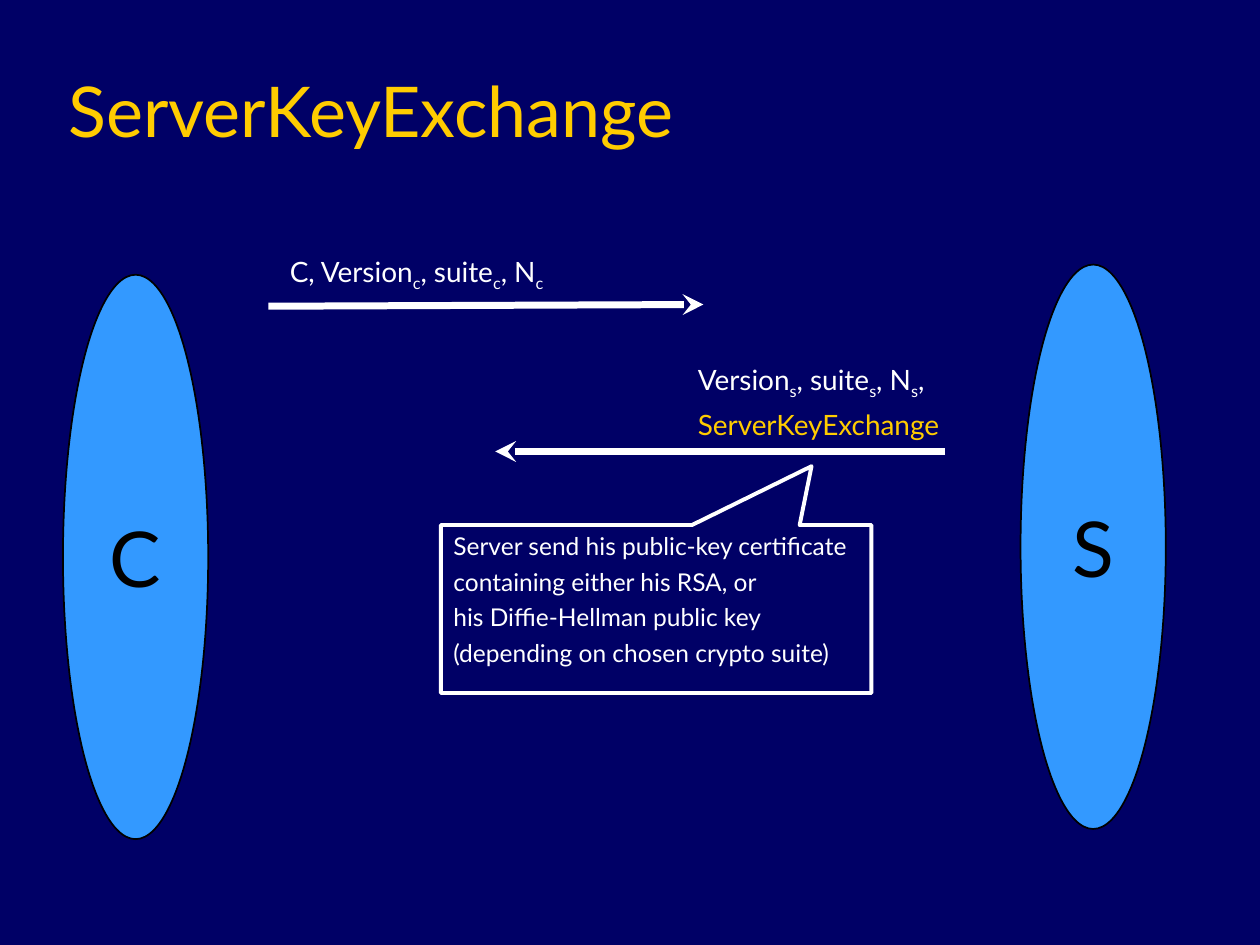
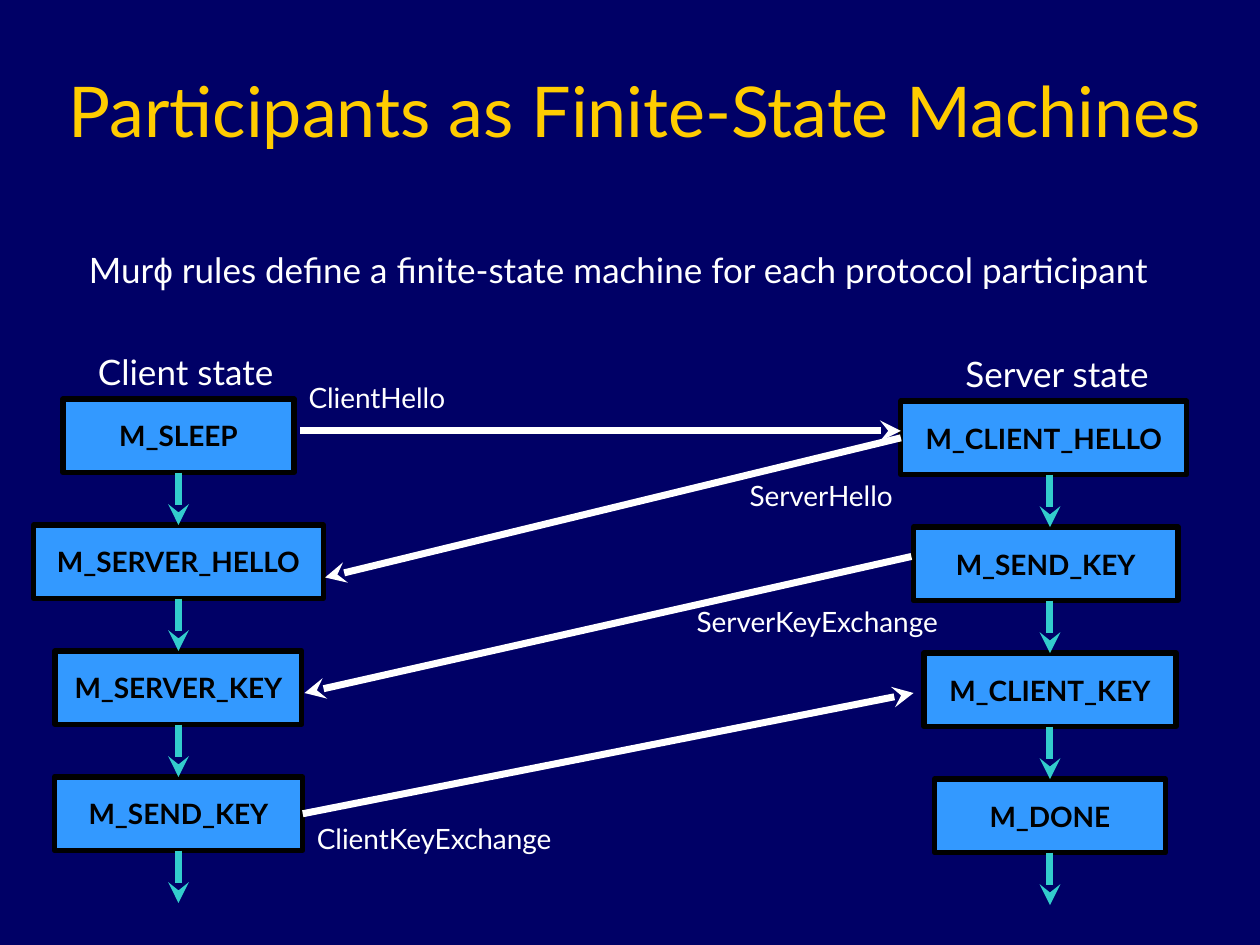
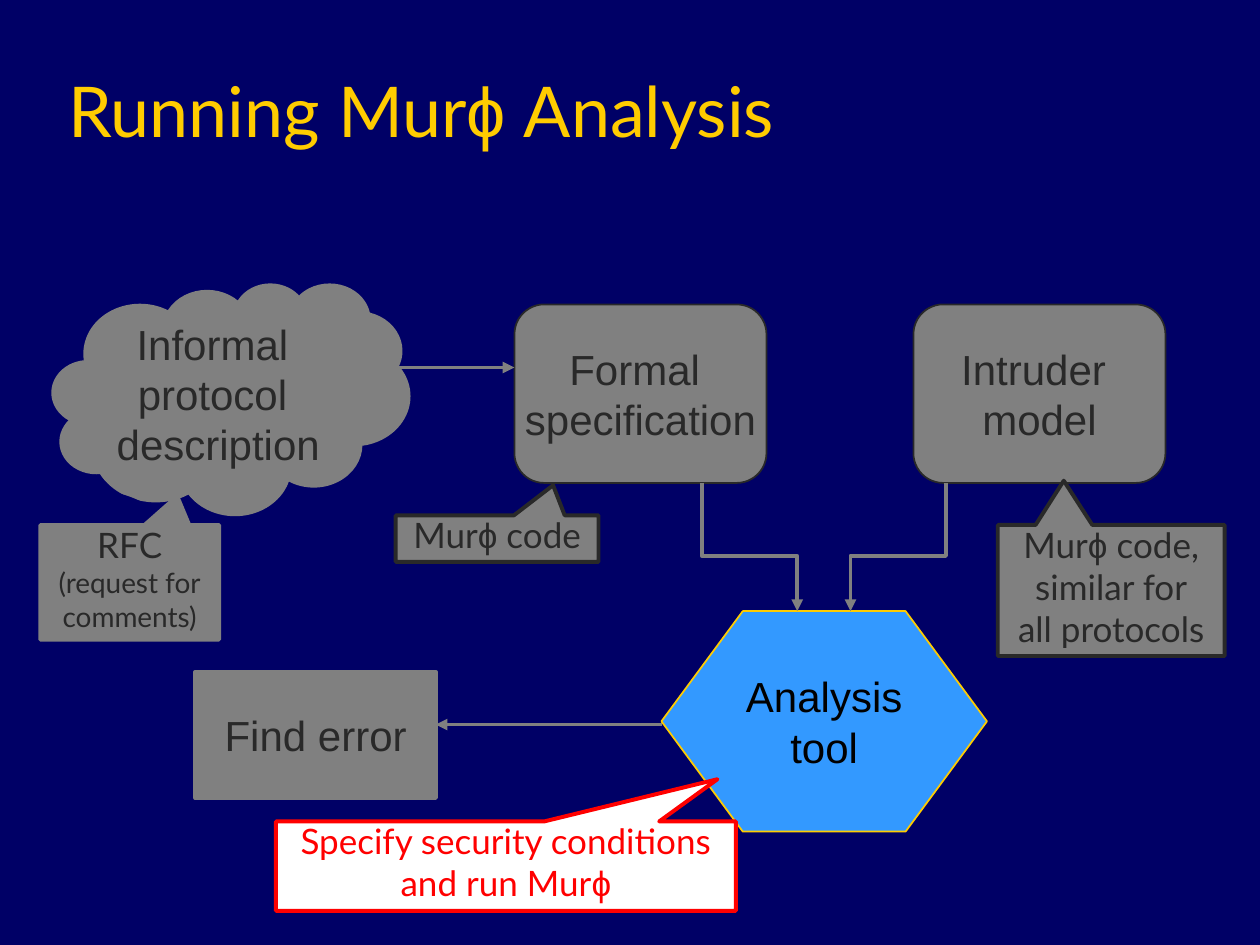
from dataclasses import dataclass, replace
from typing import Any, NamedTuple, Optional, Sequence

from lxml.etree import SubElement
from pptx import Presentation
from pptx.dml.color import RGBColor as Color
from pptx.enum.shapes import MSO_CONNECTOR as Link, MSO_SHAPE as Kind
from pptx.enum.text import MSO_ANCHOR as Anchor, MSO_AUTO_SIZE as Fit, PP_ALIGN as Align
from pptx.oxml.ns import qn
from pptx.util import Pt


@dataclass(frozen=True)
class Theme:
    navy: Color = Color(0x00, 0x00, 0x66)
    gold: Color = Color(0xFF, 0xCC, 0x00)
    blue: Color = Color(0x33, 0x99, 0xFF)
    teal: Color = Color(0x33, 0xCC, 0xCC)
    gray: Color = Color(0x80, 0x80, 0x80)
    dark: Color = Color(0x29, 0x29, 0x29)
    white: Color = Color(0xFF, 0xFF, 0xFF)
    black: Color = Color(0x00, 0x00, 0x00)
    red: Color = Color(0xFF, 0x00, 0x00)
    font: str = "Lato"
    plain_font: str = "Arial"
    title: float = 40
    role: float = 44
    node: float = 24
    body: float = 20
    label: float = 16
    note: float = 14


THEME = Theme()


@dataclass(frozen=True)
class Look:
    size: float
    color: Color
    font: str = THEME.font
    bold: bool = False
    before: float = 0
    leading: Optional[float] = None
    align: Align = Align.CENTER


TITLE = Look(THEME.title, THEME.gold, align=Align.LEFT)
ROLE = Look(THEME.role, THEME.black, before=11)
LABEL = Look(THEME.label, THEME.white, before=4, align=Align.LEFT)
NOTE = Look(THEME.note, THEME.white, before=3.5, align=Align.LEFT)
BODY = Look(THEME.body, THEME.white, before=5)
STATE = Look(THEME.label, THEME.black, bold=True, before=4)
NODE = Look(THEME.node, THEME.dark, font=THEME.plain_font)
CALLOUT = Look(THEME.body, THEME.dark, before=5, leading=0.8)


class Frame(NamedTuple):
    left: float
    top: float
    width: float
    height: float


class Point(NamedTuple):
    x: float
    y: float


class Para(NamedTuple):
    text: str
    look: Look


class Outline(NamedTuple):
    color: Color
    width: float


class Joint(NamedTuple):
    box: Any
    site: int


class State(NamedTuple):
    name: str
    center: float
    width: float


class Message(NamedTuple):
    text: str
    start: Point
    end: Point
    label: Frame
    sender: Optional[Joint] = None


class Bubble(NamedTuple):
    frame: Frame
    tip: tuple[float, float]
    paras: list[Para]
    fill: Color
    edge: Color


WHITE_ARROW = Outline(THEME.white, 4)
TEAL_ARROW = Outline(THEME.teal, 4)
GRAY_ARROW = Outline(THEME.gray, 2.25)


def assign(target: Any, values: dict[str, Any]) -> None:
    for name, value in values.items():
        setattr(target, name, value)


def paras(look: Look, *texts: str) -> list[Para]:
    return [Para(text, look) for text in texts]


def add_span(para: Any, text: str, look: Look, font: str, lowered: bool) -> None:
    span = para.add_run()
    span.text = text
    assign(span.font, {"size": Pt(look.size), "name": font, "bold": look.bold})
    span.font.color.rgb = look.color
    if lowered:
        span._r.get_or_add_rPr().set("baseline", "-25000")


def write(box: Any, content: Sequence[Para], **format_values: Any) -> None:
    text_frame = box.text_frame
    assign(text_frame, {"word_wrap": False, "auto_size": Fit.NONE, **format_values})
    for index, (text, look) in enumerate(content):
        para = text_frame.add_paragraph() if index else text_frame.paragraphs[0]
        assign(para, {"alignment": look.align, "space_before": Pt(look.before),
                      "line_spacing": look.leading})
        for part_index, part in enumerate(text.split("~")):
            for piece_index, piece in enumerate(part.split("ϕ")):
                if piece_index:
                    add_span(para, "ϕ", look, THEME.plain_font, False)
                if piece:
                    add_span(para, piece, look, look.font, part_index % 2 == 1)


def add_page(deck: Any, title: str, width: float = 612) -> Any:
    page = deck.slides.add_slide(deck.slide_layouts[5])
    heading = page.shapes.title
    assign(heading, {"left": Pt(32), "top": Pt(18), "width": Pt(width), "height": Pt(72)})
    write(heading, paras(TITLE, title), word_wrap=True, vertical_anchor=Anchor.BOTTOM)
    return page


def add_label(page: Any, frame: Frame, content: Sequence[Para], wrap: bool = False) -> None:
    box = page.shapes.add_textbox(*map(Pt, frame))
    write(box, content, word_wrap=wrap, auto_size=Fit.SHAPE_TO_FIT_TEXT)


def paint(box: Any, fill: Optional[Color], outline: Optional[Outline]) -> None:
    box.shadow.inherit = False
    if fill is None:
        box.fill.background()
    else:
        box.fill.solid()
        box.fill.fore_color.rgb = fill
    if outline is None:
        box.line.fill.background()
    else:
        box.line.color.rgb = outline.color
        box.line.width = Pt(outline.width)


def add_box(page: Any, kind: Kind, frame: Frame, fill: Optional[Color],
            outline: Optional[Outline], content: Sequence[Para] = (),
            adjust: Sequence[float] = (), **format_values: Any) -> Any:
    box = page.shapes.add_shape(kind, *map(Pt, frame))
    for index, value in enumerate(adjust):
        box.adjustments[index] = value
    paint(box, fill, outline)
    write(box, content, **{"vertical_anchor": Anchor.MIDDLE, **format_values})
    return box


def add_head(line_shape: Any, head: str) -> None:
    SubElement(line_shape._element.spPr.get_or_add_ln(), qn("a:tailEnd"), type=head)


def add_arrow(page: Any, start: Point, end: Point, outline: Outline, head: str = "stealth",
              begin: Optional[Joint] = None, finish: Optional[Joint] = None) -> None:
    arrow = page.shapes.add_connector(Link.STRAIGHT, *map(Pt, (*start, *end)))
    if begin:
        arrow.begin_connect(*begin)
    if finish:
        arrow.end_connect(*finish)
    arrow.line.color.rgb = outline.color
    arrow.line.width = Pt(outline.width)
    add_head(arrow, head)
    SubElement(arrow._element.spPr, qn("a:effectLst"))


def add_elbow(page: Any, points: Sequence[Point]) -> None:
    first, *rest = [tuple(map(Pt, point)) for point in points]
    builder = page.shapes.build_freeform(*first)
    builder.add_line_segments(rest, close=False)
    elbow = builder.convert_to_shape()
    paint(elbow, None, GRAY_ARROW)
    add_head(elbow, "triangle")


def add_states(page: Any, states: Sequence[State], lane: float, top: float) -> list[Any]:
    height, pitch = 42, 72
    boxes = [
        add_box(page, Kind.RECTANGLE,
                Frame(state.center - state.width / 2, top + pitch * row, state.width, height),
                THEME.blue, Outline(THEME.black, 3), paras(STATE, state.name))
        for row, state in enumerate(states)
    ]
    centered = [state.center == lane for state in states]
    for row, box in enumerate(boxes):
        begin = Joint(box, 2) if centered[row] else None
        has_next = row + 1 < len(boxes) and centered[row + 1]
        finish = Joint(boxes[row + 1], 0) if has_next else None
        row_top = top + pitch * row
        add_arrow(page, Point(lane, row_top + height), Point(lane, row_top + pitch),
                  TEAL_ARROW, begin=begin, finish=finish)
    return boxes


def build_key_exchange(deck: Any) -> None:
    page = add_page(deck, "ServerKeyExchange")
    for role, left, top in (("C", 36, 157), ("S", 583.2, 151.2)):
        add_box(page, Kind.OVAL, Frame(left, top, 83, 322.5), THEME.blue,
                Outline(THEME.black, 1), paras(ROLE, role))
    add_arrow(page, Point(153.3, 175), Point(402, 174), WHITE_ARROW)
    add_arrow(page, Point(540, 258), Point(283, 258), WHITE_ARROW)
    add_label(page, Frame(391.7, 203.8, 162, 52.6), [
        Para("Version~s~, suite~s~, N~s~,", LABEL),
        Para("ServerKeyExchange", replace(LABEL, color=THEME.gold)),
    ])
    add_box(page, Kind.RECTANGULAR_CALLOUT, Frame(252, 300, 246, 96), None,
            Outline(THEME.white, 2.25),
            paras(NOTE, "Server send his public-key certificate",
                  "containing either his RSA, or",
                  "his Diffie-Hellman public key",
                  "(depending on chosen crypto suite)"),
            (0.361, -0.85), word_wrap=True, vertical_anchor=Anchor.TOP)
    add_label(page, Frame(154, 141.8, 168, 29.5),
              paras(replace(LABEL, align=Align.CENTER), "C, Version~c~, suite~c~, N~c~"))


def build_state_machines(deck: Any) -> None:
    page = add_page(deck, "Participants as Finite-State Machines", 664)
    for text, frame in (
        ("Murϕ rules define a finite-state machine for each protocol participant",
         Frame(23.8, 138.2, 659.5, 31.7)),
        ("Client state", Frame(46, 196.6, 120.2, 31.7)),
        ("Server state", Frame(540.7, 198, 126.7, 31.7)),
    ):
        add_label(page, frame, paras(BODY, text))
    client_lane, server_lane = 102, 600
    client = add_states(page, [
        State("M_SLEEP", client_lane, 132),
        State("M_SERVER_HELLO", client_lane, 165.6),
        State("M_SERVER_KEY", client_lane, 141),
        State("M_SEND_KEY", client_lane, 142),
    ], client_lane, 228)
    server = add_states(page, [
        State("M_CLIENT_HELLO", 596.5, 163.4),
        State("M_SEND_KEY", 597.6, 151.2),
        State("M_CLIENT_KEY", server_lane, 144),
        State("M_DONE", server_lane, 132),
    ], server_lane, 229.2)
    for message in (
        Message("ClientHello", Point(171.4, 246.2), Point(514.8, 246.2),
                Frame(169.2, 213.8, 101, 26.6)),
        Message("ServerHello", Point(514.8, 252), Point(185.8, 330),
                Frame(421.2, 270, 101, 46), Joint(server[0], 1)),
        Message("ServerKeyExchange", Point(520.8, 318), Point(174, 396),
                Frame(391, 342, 172.8, 26.6)),
        Message("ClientKeyExchange", Point(174, 466.6), Point(522, 396),
                Frame(174, 465.8, 172.8, 26.6), Joint(client[3], 3)),
    ):
        add_arrow(page, message.start, message.end, WHITE_ARROW, begin=message.sender)
        add_label(page, message.label, paras(LABEL, message.text), wrap=True)


def build_analysis(deck: Any) -> None:
    page = add_page(deck, "Running Murϕ Analysis")
    for left, texts in ((522, ("Intruder ", "model")), (294, ("Formal ", "specification"))):
        add_box(page, Kind.FLOWCHART_ALTERNATE_PROCESS, Frame(left, 174, 144, 102),
                THEME.gray, Outline(THEME.dark, 1), paras(NODE, *texts))
    add_box(page, Kind.HEXAGON, Frame(378, 349.2, 186, 126), THEME.blue,
            Outline(THEME.gold, 1),
            paras(replace(NODE, color=THEME.black), "Analysis", "tool"), (0.369, 1.155))
    for source, target in ((401, 455.6), (540.5, 486)):
        add_elbow(page, [Point(source, 276), Point(source, 317.7),
                         Point(target, 317.7), Point(target, 349.2)])
    add_arrow(page, Point(210, 210), Point(294, 210), GRAY_ARROW, "triangle")
    add_arrow(page, Point(378, 414), Point(249, 414), GRAY_ARROW, "triangle")
    gray_edge = Outline(THEME.gray, 2.25)
    add_box(page, Kind.CLOUD_CALLOUT, Frame(30, 162, 204, 132), THEME.gray,
            Outline(THEME.gray, 1),
            paras(NODE, "Informal ", "protocol ", "description"), (-0.526, 0.7))
    add_box(page, Kind.OVAL, Frame(6, 280, 90, 54), THEME.navy, None)
    add_box(page, Kind.RECTANGLE, Frame(111.6, 384, 137.5, 72), THEME.gray, gray_edge,
            paras(replace(NODE, before=6), "Find error"))
    small = replace(CALLOUT, size=THEME.label, before=4)
    warning = replace(CALLOUT, color=THEME.red)
    for bubble in (
        Bubble(Frame(23, 300, 102.2, 65.5), (0.266, -0.752),
               paras(CALLOUT, "RFC") + paras(small, "(request for", "comments)"),
               THEME.gray, THEME.gray),
        Bubble(Frame(226.1, 294.5, 115.9, 26.6), (0.276, -1.147),
               paras(CALLOUT, "Murϕ code"), THEME.gray, THEME.dark),
        Bubble(Frame(570.2, 300, 129.6, 74.9), (-0.209, -0.838),
               paras(CALLOUT, "Murϕ code,", "similar for", "all protocols"),
               THEME.gray, THEME.dark),
        Bubble(Frame(157.7, 469.4, 262.8, 51.1), (0.46, -0.972),
               paras(warning, "Specify security conditions", "and run Murϕ"),
               THEME.white, THEME.red),
    ):
        add_box(page, Kind.RECTANGULAR_CALLOUT, bubble.frame, bubble.fill,
                Outline(bubble.edge, 2.25), bubble.paras, bubble.tip,
                auto_size=Fit.SHAPE_TO_FIT_TEXT, vertical_anchor=Anchor.TOP)


def main() -> None:
    deck = Presentation()
    assign(deck, {"slide_width": Pt(720), "slide_height": Pt(540)})
    backdrop = deck.slide_master.background.fill
    backdrop.solid()
    backdrop.fore_color.rgb = THEME.navy
    build_key_exchange(deck)
    build_state_machines(deck)
    build_analysis(deck)
    deck.save("out.pptx")


if __name__ == "__main__":
    main()
